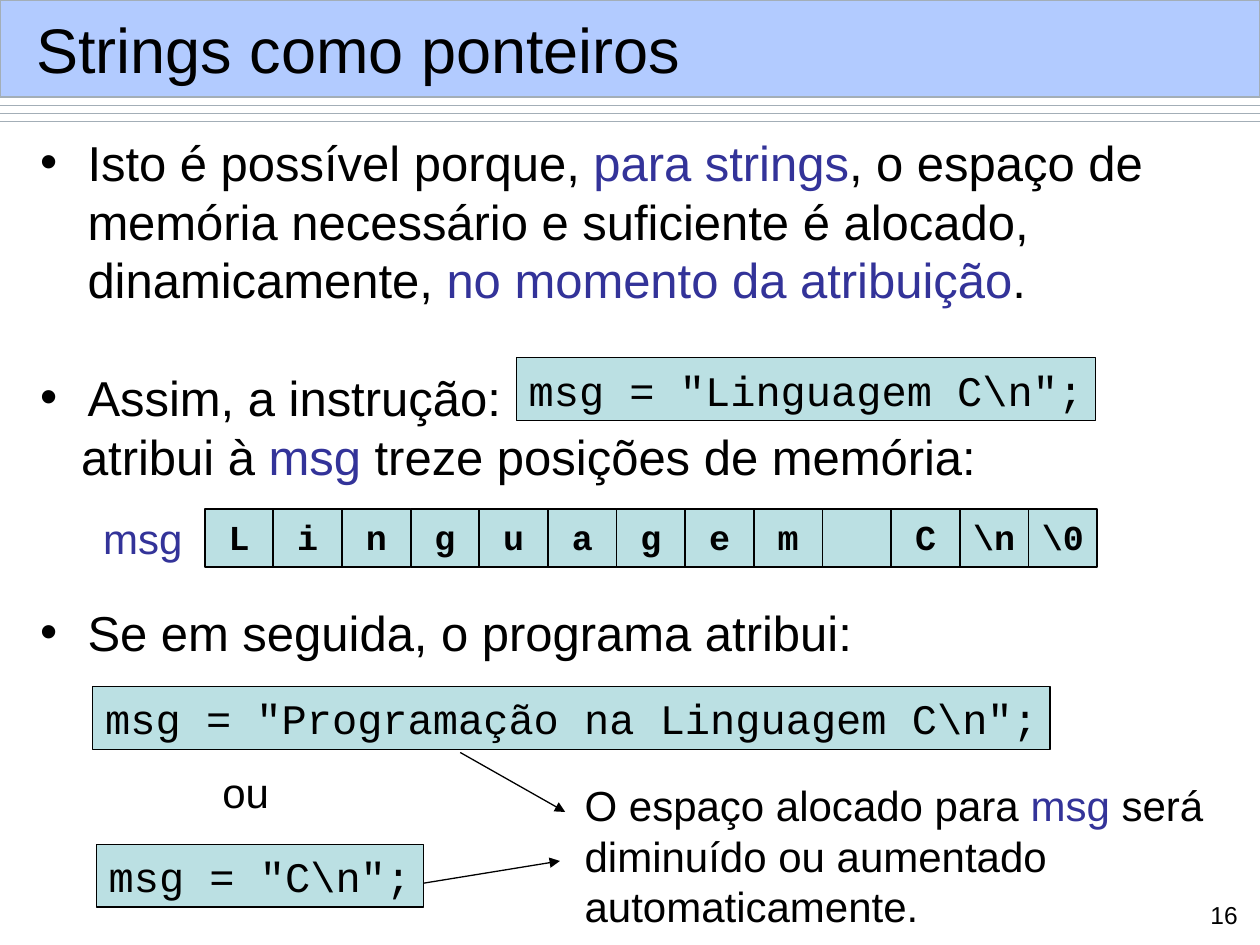
from dataclasses import dataclass

from lxml.etree import SubElement
from pptx import Presentation
from pptx.dml.color import RGBColor
from pptx.enum.shapes import MSO_CONNECTOR, MSO_SHAPE
from pptx.enum.text import MSO_ANCHOR, MSO_AUTO_SIZE, PP_ALIGN
from pptx.oxml.ns import qn
from pptx.util import Pt


@dataclass(frozen=True)
class Theme:
    ink: RGBColor = RGBColor(0, 0, 0)
    accent: RGBColor = RGBColor(0x33, 0x33, 0x99)
    code_fill: RGBColor = RGBColor(0xBB, 0xE0, 0xE3)
    band: RGBColor = RGBColor(0x66, 0x99, 0xFF)
    rule: RGBColor = RGBColor(0xA3, 0xAE, 0xB7)
    sans: str = "Arial"
    mono: str = "Courier New"
    title: int = 36
    body: int = 28
    text: int = 24
    cell: int = 20
    number: int = 14
    leading: float = 1.2


class Deck:
    """Holds the theme and the current slide."""

    def __init__(self, prs, theme):
        self.t = theme
        self.s = prs.slides.add_slide(prs.slide_layouts[1])

    def add_runs(self, p, runs, size, font=None, bold=False, before=0):
        """Fill a paragraph from (text, colour) runs."""
        p.line_spacing = Pt(round(size * self.t.leading, 1))
        p.space_before, p.space_after = Pt(before), Pt(0)
        for text, color in runs:
            r = p.add_run()
            r.text = text
            r.font.name, r.font.size = font or self.t.sans, Pt(size)
            r.font.bold = bold
            r.font.color.rgb = color

    def frame(self, sp, wrap=True, anchor=MSO_ANCHOR.TOP):
        tf = sp.text_frame
        tf.auto_size = MSO_AUTO_SIZE.NONE
        tf.word_wrap, tf.vertical_anchor = wrap, anchor
        return tf

    def placeholder(self, sp, x, y, w, h, anchor):
        """Move a placeholder and bring it in front of the band."""
        sp.left, sp.top, sp.width, sp.height = Pt(x), Pt(y), Pt(w), Pt(h)
        self.s.shapes._spTree.append(sp._element)
        return self.frame(sp, anchor=anchor)

    def title(self, text, *box):
        p = self.placeholder(self.s.shapes.title, *box, MSO_ANCHOR.MIDDLE).paragraphs[0]
        p.alignment = PP_ALIGN.LEFT
        self.add_runs(p, [(text, self.t.ink)], self.t.title)

    def body(self, items, *box):
        """Items are (space before, left margin, bulleted, runs)."""
        tf = self.placeholder(self.s.placeholders[1], *box, MSO_ANCHOR.TOP)
        for i, (before, margin, bulleted, runs) in enumerate(items):
            p = tf.add_paragraph() if i else tf.paragraphs[0]
            pPr = p._p.get_or_add_pPr()
            pPr.set("marL", str(Pt(margin)))
            pPr.set("indent", str(-Pt(margin) if bulleted else 0))
            if bulleted:
                SubElement(pPr, qn("a:buFont"), typeface=self.t.sans)
                SubElement(pPr, qn("a:buChar"), char="•")
            else:
                SubElement(pPr, qn("a:buNone"))
            self.add_runs(p, runs, self.t.body, before=before)

    def rect(self, x, y, w, h, fill, line, weight=0.75):
        sp = self.s.shapes.add_shape(MSO_SHAPE.RECTANGLE, Pt(x), Pt(y), Pt(w), Pt(h))
        sp.shadow.inherit = False
        sp.fill.solid()
        sp.fill.fore_color.rgb = fill
        sp.line.color.rgb, sp.line.width = line, Pt(weight)
        return sp

    def band(self, *box):
        sp = self.rect(*box, self.t.band, self.t.rule)
        color = sp._element.spPr.find(qn("a:solidFill"))[0]
        SubElement(color, qn("a:alpha"), val="50000")

    def code(self, text, *box):
        p = self.frame(self.rect(*box, self.t.code_fill, self.t.ink), wrap=False).paragraphs[0]
        p.alignment = PP_ALIGN.LEFT
        self.add_runs(p, [(text, self.t.ink)], self.t.text, self.t.mono)

    def memory(self, chars, x, y, w, h):
        """Row of equal cells, one character each."""
        step = w / len(chars)
        for i, char in enumerate(chars):
            sp = self.rect(x + i * step, y, step, h, self.t.code_fill, self.t.ink, 1)
            if char:
                p = self.frame(sp).paragraphs[0]
                p.alignment = PP_ALIGN.CENTER
                self.add_runs(p, [(char, self.t.ink)], self.t.cell, self.t.mono, bold=True)

    def text(self, lines, x, y, w, h, size, align=PP_ALIGN.LEFT):
        sp = self.s.shapes.add_textbox(Pt(x), Pt(y), Pt(w), Pt(h))
        tf = self.frame(sp)
        for i, runs in enumerate(lines):
            p = tf.add_paragraph() if i else tf.paragraphs[0]
            p.alignment = align
            self.add_runs(p, runs, size)

    def line(self, x1, y1, x2, y2, color, arrow=False):
        c = self.s.shapes.add_connector(MSO_CONNECTOR.STRAIGHT, Pt(x1), Pt(y1), Pt(x2), Pt(y2))
        c.line.color.rgb, c.line.width = color, Pt(0.75)
        if arrow:
            SubElement(c._element.spPr.find(qn("a:ln")), qn("a:tailEnd"), type="triangle")
        SubElement(c._element.spPr, qn("a:effectLst"))


def main():
    prs = Presentation()
    prs.slide_width, prs.slide_height = Pt(720), Pt(540)
    t = Theme()
    d = Deck(prs, t)
    ink, accent = t.ink, t.accent

    # Header band with three rules
    for i in range(3):
        y = 60.4 + i * 4.5
        d.line(0, y, 720, y, t.rule)
    d.band(0, 0, 720, 55.5)
    d.title("Strings como ponteiros", 13.7, 6.5, 694, 42.5)

    # Bulleted text, with room for the code and the memory row
    gap = t.body * t.leading
    d.body([
        (0, 27, True, [
            ("Isto é possível porque, ", ink), ("para strings", accent),
            (", o espaço de memória necessário e suficiente é alocado, dinamicamente, ", ink),
            ("no momento da atribuição", accent), (".", ink)]),
        (gap, 27, True, [("Assim, a instrução:", ink)]),
        (0, 23.3, False, [
            ("atribui à ", ink), ("msg", accent), (" treze posições de memória:", ink)]),
        (2 * gap, 27, True, [("Se em seguida, o programa atribui:", ink)]),
    ], 15.8, 72, 687, 449)
    d.code('msg = "Linguagem C\\n";', 295, 204.5, 331, 36)

    # Memory row
    d.memory([*"Linguagem", "", "C", "\\n", "\\0"], 117, 291, 510, 33)
    d.text([[("msg", accent)]], 51.8, 289.5, 62, 36, t.text)

    # Alternative assignments
    d.code('msg = "Programação na Linguagem C\\n";', 53, 392.4, 547, 36)
    d.code('msg = "C\\n";', 55, 482.4, 187, 36)
    d.text([[("ou", ink)]], 120, 434.5, 44, 36, t.text)

    # Remark and its arrows
    d.text([
        [("O espaço alocado para ", ink), ("msg", accent), (" será", ink)],
        [("diminuído ou aumentado", ink)],
        [("automaticamente.", ink)],
    ], 327, 442, 374, 94, t.text)
    d.line(263, 430, 323, 464, ink, arrow=True)
    d.line(242, 504.7, 320, 492, ink, arrow=True)

    # Slide number
    d.text([[("16", ink)]], 677, 510.5, 37.4, 23, t.number, PP_ALIGN.RIGHT)

    prs.save("out.pptx")


if __name__ == "__main__":
    main()
